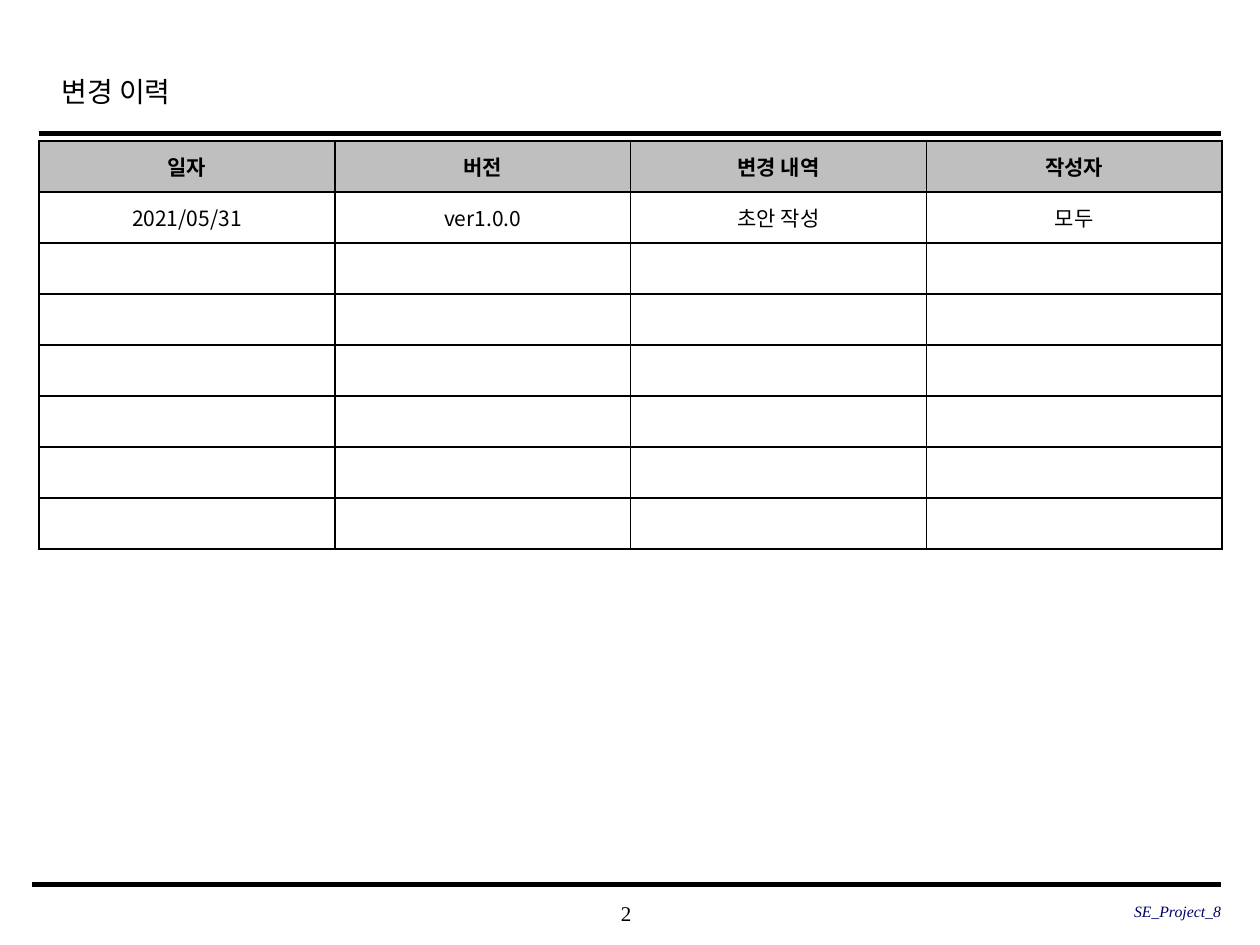
from lxml.etree import SubElement
from pptx import Presentation
from pptx.dml.color import RGBColor
from pptx.enum.shapes import MSO_CONNECTOR
from pptx.enum.text import MSO_ANCHOR, PP_ALIGN
from pptx.oxml.ns import qn
from pptx.util import Inches, Pt

HEADERS = ["일자", "버전", "변경 내역", "작성자"]
FIRST_CHANGE = ["2021/05/31", "ver1.0.0", "초안 작성", "모두"]
EMPTY_ROWS = 6


def color(hex_string):
    return RGBColor.from_string(hex_string)


class HistorySlide:
    serif = "Times New Roman"
    sans = "Noto Sans CJK KR"
    black = "000000"
    navy = "000066"
    gray = "BFBFBF"
    white = "FFFFFF"
    columns, rows = 100, 75

    def __init__(self, presentation):
        self.column = presentation.slide_width / self.columns
        self.row = presentation.slide_height / self.rows
        self.slide = presentation.slides.add_slide(presentation.slide_layouts[6])

    def across(self, count):
        return round(count * self.column)

    def down(self, count):
        return round(count * self.row)

    def place(self, left, top, width, height):
        return self.across(left), self.down(top), self.across(width), self.down(height)

    def set_text(self, frame, text, size, font, ink, align, bold=False, italic=False):
        paragraph = frame.paragraphs[0]
        paragraph.text = text
        paragraph.alignment = align
        paragraph.font.size = Pt(size)
        paragraph.font.name = font
        paragraph.font.bold = bold
        paragraph.font.italic = italic
        paragraph.font.color.rgb = color(ink)
        properties = paragraph._p.pPr.find(qn("a:defRPr"))
        SubElement(properties, qn("a:ea"), typeface=self.sans)
        return paragraph

    def title(self, text, *box):
        frame = self.slide.shapes.add_textbox(*self.place(*box)).text_frame
        frame.word_wrap = True
        paragraph = self.set_text(frame, text, 16, self.serif, self.black, PP_ALIGN.LEFT)
        paragraph.line_spacing = 1.2

    def footer(self, text, box, size, ink, align, italic=False):
        frame = self.slide.shapes.add_textbox(*self.place(*box)).text_frame
        frame.word_wrap = True
        frame.vertical_anchor = MSO_ANCHOR.MIDDLE
        frame.margin_left = frame.margin_right = 0
        frame.margin_top = frame.margin_bottom = 0
        self.set_text(frame, text, size, self.serif, ink, align, italic=italic)

    def rule(self, left, right, top, weight):
        height = self.down(top)
        line = self.slide.shapes.add_connector(
            MSO_CONNECTOR.STRAIGHT, self.across(left), height, self.across(right), height)
        line.line.color.rgb = color(self.black)
        line.line.width = Pt(weight)
        SubElement(line._element.spPr, qn("a:effectLst"))

    def border(self, cell):
        properties = cell._tc.get_or_add_tcPr()
        for position, side in enumerate(("a:lnL", "a:lnR", "a:lnT", "a:lnB")):
            edge = properties.makeelement(qn(side), {"w": str(Pt(1))})
            fill = SubElement(edge, qn("a:solidFill"))
            SubElement(fill, qn("a:srgbClr"), val=self.black)
            properties.insert(position, edge)

    def table(self, records, *box):
        table = self.slide.shapes.add_table(
            len(records), len(records[0]), *self.place(*box)).table
        for row_index, record in enumerate(records):
            header = row_index == 0
            for column_index, text in enumerate(record):
                cell = table.cell(row_index, column_index)
                cell.fill.solid()
                cell.fill.fore_color.rgb = color(self.gray if header else self.white)
                cell.vertical_anchor = MSO_ANCHOR.MIDDLE
                self.set_text(cell.text_frame, text, 12, self.sans, self.black,
                              PP_ALIGN.CENTER, bold=header)
                self.border(cell)


def main():
    presentation = Presentation()
    presentation.slide_width = Inches(10)
    presentation.slide_height = Inches(7.5)
    history = HistorySlide(presentation)
    history.footer("2", (39.3, 70.8, 20.8, 3.3), 12, history.black, PP_ALIGN.CENTER)
    history.rule(3.1, 96.9, 10.6, 2.5)
    history.rule(2.5, 96.9, 70.2, 3)
    history.title("변경 이력", 3.9, 4.9, 75.5, 5)
    blanks = [[""] * len(HEADERS) for _ in range(EMPTY_ROWS)]
    history.table([HEADERS, FIRST_CHANGE] + blanks, 3.1, 11.2, 93.9, 32.4)
    history.footer("SE_Project_8", (66.3, 70.7, 30.6, 3.3), 9, history.navy,
                   PP_ALIGN.RIGHT, italic=True)
    presentation.save("out.pptx")


if __name__ == "__main__":
    main()
